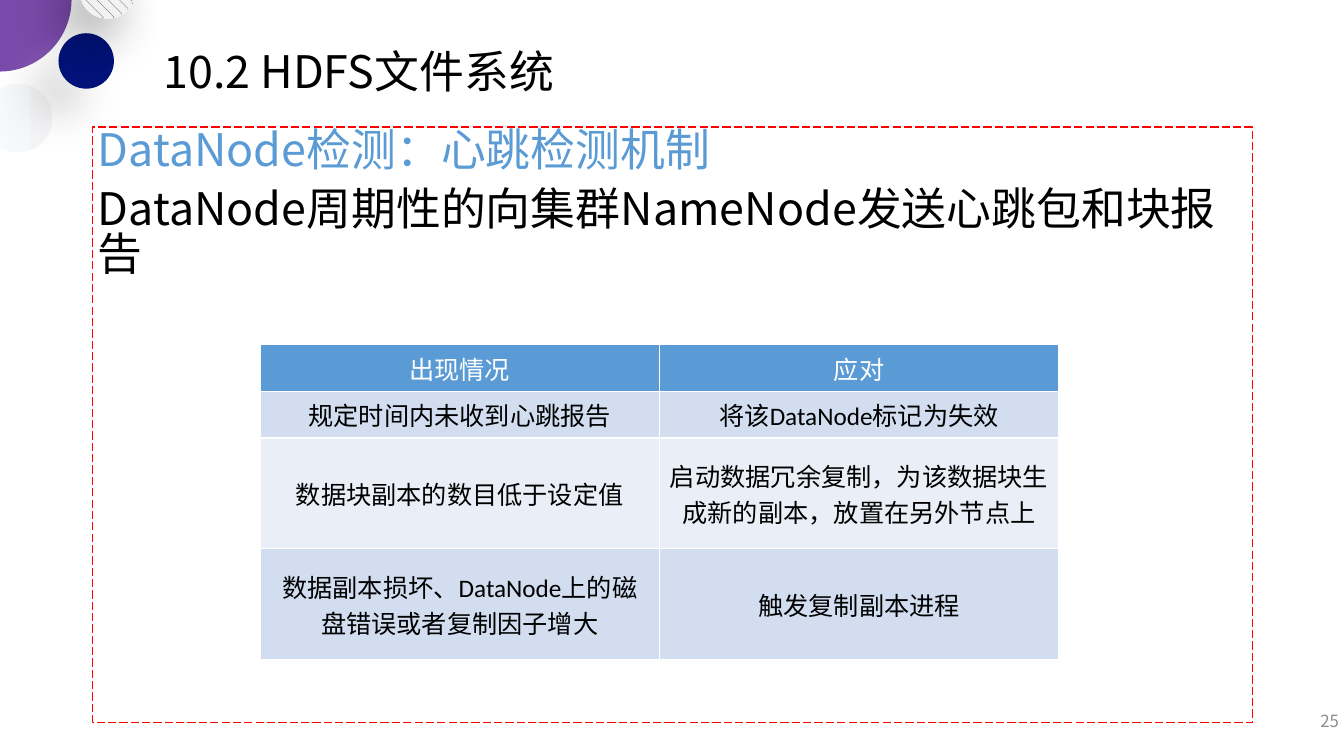
from lxml import etree
from pptx import Presentation
from pptx.dml.color import RGBColor
from pptx.enum.dml import MSO_LINE, MSO_PATTERN
from pptx.enum.shapes import MSO_SHAPE
from pptx.enum.text import MSO_ANCHOR, MSO_AUTO_SIZE, PP_ALIGN
from pptx.oxml import parse_xml
from pptx.oxml.ns import nsdecls, qn
from pptx.util import Inches, Pt

BLACK = RGBColor(0x00, 0x00, 0x00)
WHITE = RGBColor(0xFF, 0xFF, 0xFF)
RED = RGBColor(0xFF, 0x00, 0x00)
BLUE = RGBColor(0x5B, 0x9B, 0xD5)
BAND_DARK = RGBColor(0xD2, 0xDE, 0xEF)
BAND_LIGHT = RGBColor(0xEA, 0xEF, 0xF7)
GREY = RGBColor(0x8C, 0x8C, 0x8C)
PURPLE = RGBColor(0x7A, 0x4A, 0xAA)
NAVY = RGBColor(0x00, 0x12, 0x79)
PALE_TOP = RGBColor(0xF7, 0xFA, 0xFD)
PALE_BOTTOM = RGBColor(0xF4, 0xF5, 0xF7)
HATCH = RGBColor(0x40, 0x40, 0x40)
HATCH_BACK = RGBColor(0xF2, 0xF2, 0xF2)
CJK = "Noto Sans CJK SC"


def add_run(paragraph, text, size, color, latin=CJK):
    run = paragraph.add_run()
    run.text = text
    run.font.size = Pt(size)
    run.font.color.rgb = color
    run.font.name = latin
    etree.SubElement(run.font._element, qn("a:ea")).set("typeface", CJK)


def set_frame(frame, anchor):
    frame.word_wrap = True
    frame.auto_size = MSO_AUTO_SIZE.NONE
    frame.vertical_anchor = anchor
    frame.margin_left = frame.margin_right = Inches(0.05)
    frame.margin_top = frame.margin_bottom = Inches(0.03)


prs = Presentation()
prs.slide_width, prs.slide_height = Inches(13.33), Inches(7.5)
slide = prs.slides.add_slide(prs.slide_layouts[1])

# Corner circles: left, top, diameter, rotation, fill, shadow
circles = [
    (-0.72, -0.72, 1.43, 0, PURPLE, None),
    (-0.16, 0.83, 0.68, 0, "pale", None),
    (0.58, 0.33, 0.55, 0, NAVY, ("AFABAB", 27, 29)),
    (0.79, -0.37, 0.56, 11.1, "hatch", ("000000", 38, 19)),
    (0.79, -0.36, 0.54, 11.1, "hatch", None),
]
for left, top, size, rotation, fill, shadow in circles:
    circle = slide.shapes.add_shape(
        MSO_SHAPE.OVAL, Inches(left), Inches(top), Inches(size), Inches(size))
    circle.rotation = rotation
    circle.line.fill.background()
    circle.shadow.inherit = False
    if fill == "pale":
        circle.fill.gradient()
        circle.fill.gradient_angle = 0
        for stop, color in zip(circle.fill.gradient_stops, (PALE_TOP, PALE_BOTTOM)):
            stop.color.rgb = color
    elif fill == "hatch":
        circle.fill.patterned()
        circle.fill.pattern = MSO_PATTERN.SHINGLE
        circle.fill.fore_color.rgb = HATCH
        circle.fill.back_color.rgb = HATCH_BACK
    else:
        circle.fill.solid()
        circle.fill.fore_color.rgb = fill
    if shadow:
        color, blur, distance = shadow
        circle._element.spPr.find(qn("a:effectLst")).append(parse_xml(
            f'<a:outerShdw {nsdecls("a")} blurRad="{Pt(blur)}" dist="{Pt(distance)}" '
            f'dir="8100000" algn="tr" rotWithShape="0"><a:srgbClr val="{color}">'
            '<a:alpha val="40000"/></a:srgbClr></a:outerShdw>'))

# Title
title = slide.shapes.title
title.left, title.top = Inches(1.57), Inches(0.4)
title.width, title.height = Inches(10.85), Inches(0.66)
set_frame(title.text_frame, MSO_ANCHOR.MIDDLE)
heading = title.text_frame.paragraphs[0]
heading.alignment = PP_ALIGN.LEFT
heading.line_spacing = 0.9
add_run(heading, "10.2 HDFS文件系统", 32, BLACK)

# Body with dashed frame
body = slide.placeholders[1]
body.left, body.top = Inches(0.92), Inches(1.26)
body.width, body.height = Inches(11.5), Inches(5.91)
body.line.color.rgb = RED
body.line.width = Pt(0.75)
body.line.dash_style = MSO_LINE.LONG_DASH
set_frame(body.text_frame, MSO_ANCHOR.TOP)
statements = [
    ("DataNode检测：心跳检测机制", BLUE),
    ("DataNode周期性的向集群NameNode发送心跳包和块报告", BLACK),
]
for i, (text, color) in enumerate(statements):
    paragraph = body.text_frame.add_paragraph() if i else body.text_frame.paragraphs[0]
    paragraph.space_before = Pt(10)
    paragraph.line_spacing = 0.84
    properties = paragraph._p.get_or_add_pPr()
    properties.set("marL", "0")
    properties.set("indent", "0")
    etree.SubElement(properties, qn("a:buNone"))
    add_run(paragraph, text, 32, color)

# Page number
page = slide.shapes.add_textbox(Inches(10.33), Inches(6.95), Inches(3), Inches(0.4))
set_frame(page.text_frame, MSO_ANCHOR.MIDDLE)
number = page.text_frame.paragraphs[0]
number.alignment = PP_ALIGN.RIGHT
add_run(number, "25", 12, GREY)

# Failure handling table: each cell is a list of (text, latin font) runs
rows = [
    ([("出现情况", CJK)], [("应对", CJK)]),
    ([("规定时间内未收到心跳报告", CJK)],
     [("将该", CJK), ("DataNode标记为失效", "Calibri")]),
    ([("数据块副本的数目低于设定值", CJK)],
     [("启动数据冗余复制，为该数据块生成新的副本，放置在另外节点上", CJK)]),
    ([("数据副本损坏、", CJK), ("DataNode上的磁盘错误或者复制因子增大", "Calibri")],
     [("触发复制副本进程", CJK)]),
]
row_heights = [0.44, 0.44, 1.1, 1.1]
row_fills = [BLUE, BAND_DARK, BAND_LIGHT, BAND_DARK]
table = slide.shapes.add_table(
    4, 2, Inches(2.58), Inches(3.42), Inches(7.92), Inches(3.08)).table
for r, row in enumerate(rows):
    table.rows[r].height = Inches(row_heights[r])
    for c, runs in enumerate(row):
        cell = table.cell(r, c)
        cell.fill.solid()
        cell.fill.fore_color.rgb = row_fills[r]
        cell.vertical_anchor = MSO_ANCHOR.MIDDLE
        paragraph = cell.text_frame.paragraphs[0]
        paragraph.alignment = PP_ALIGN.CENTER
        for text, latin in runs:
            add_run(paragraph, text, 18, BLACK if r else WHITE, latin)
            paragraph.runs[-1].font.bold = False

prs.save("out.pptx")
